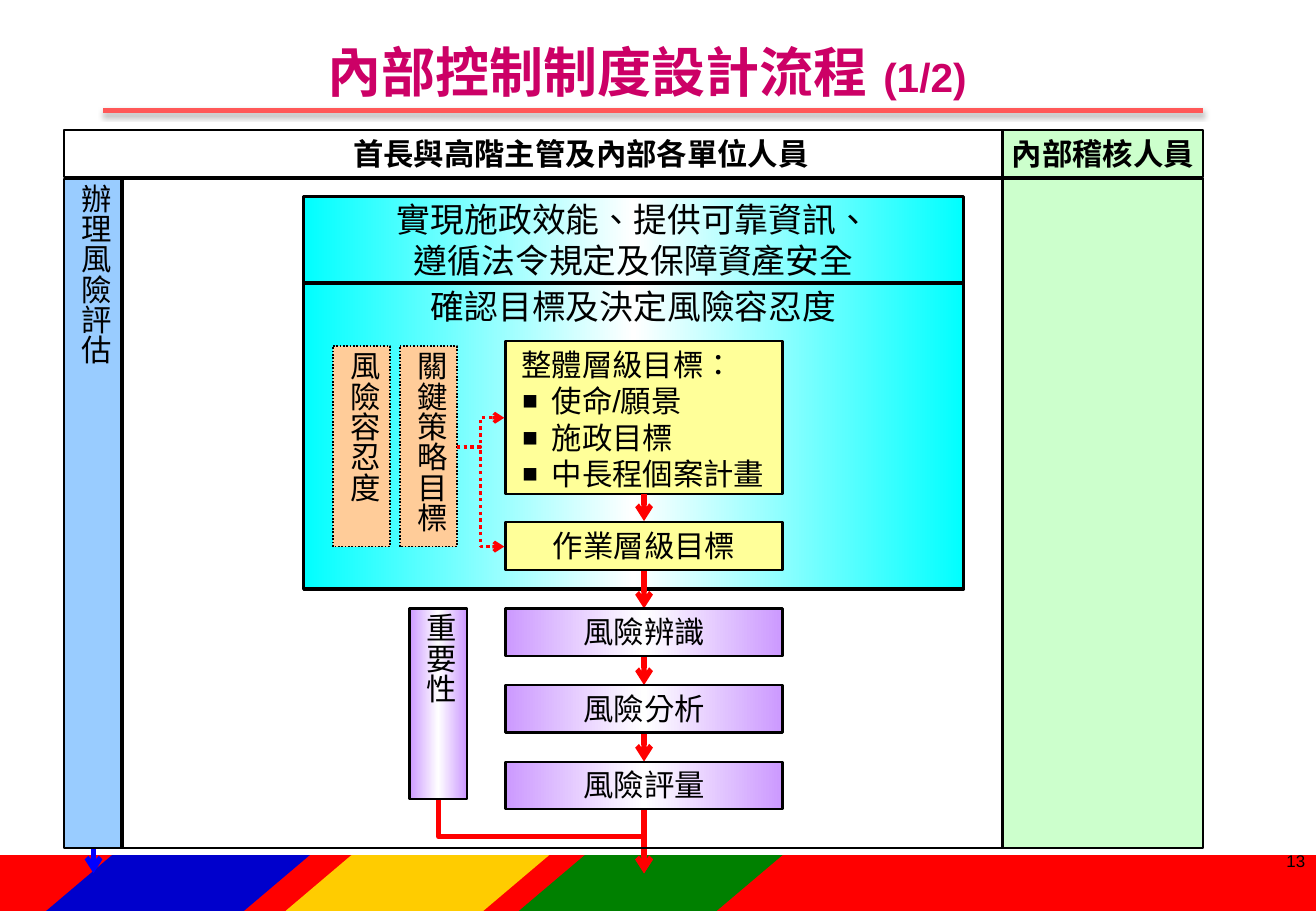
from copy import deepcopy

from lxml import etree
from pptx import Presentation
from pptx import util as u
from pptx.dml.color import RGBColor
from pptx.enum import dml, lang, shapes, text
from pptx.oxml.ns import qn

SCALE = 9144  # EMU per px, 100 px to the inch
FONT = "Arial"
COLORS = {
    "red": "FF0000", "yellow": "FFCC00", "green": "008000", "navy": "0000CC",
    "blue": "0000FF", "coral": "FF5858", "magenta": "CC0066", "black": "000000",
    "white": "FFFFFF", "cyan": "00FFFF", "violet": "CC99FF", "sky": "99CCFF",
    "mint": "CCFFCC", "peach": "FFCC99", "cream": "FFFF99",
}
BOX = shapes.MSO_SHAPE.FLOWCHART_PROCESS
LEFT, CENTER, RIGHT = text.PP_ALIGN.LEFT, text.PP_ALIGN.CENTER, text.PP_ALIGN.RIGHT
TOP, MIDDLE = text.MSO_ANCHOR.TOP, text.MSO_ANCHOR.MIDDLE


def px(value):
    return u.Emu(round(value * SCALE))


def rgb(name):
    return RGBColor.from_string(COLORS[name])


def add_span(para, words, size, color="black", bold=False):
    span = para.add_run()
    span.text = words
    font = span.font
    font.name, font.size, font.bold = FONT, u.Pt(size), bold
    font.color.rgb = rgb(color)
    font.language_id = lang.MSO_LANGUAGE_ID.TRADITIONAL_CHINESE
    etree.SubElement(span._r.get_or_add_rPr(), qn("a:ea"), typeface=FONT)


def set_frame(shape, anchor=TOP, insets=(6, 4, 6, 4), vertical=False):
    frame = shape.text_frame
    frame.word_wrap = True
    frame.auto_size = text.MSO_AUTO_SIZE.NONE
    frame.vertical_anchor = anchor
    (frame.margin_left, frame.margin_top,
     frame.margin_right, frame.margin_bottom) = map(px, insets)
    if vertical:
        frame._txBody.bodyPr.set("vert", "eaVert")
    return frame


def write(shape, lines, size=18, align=CENTER, bold=False, **frame_options):
    frame = set_frame(shape, **frame_options)
    for index, words in enumerate(lines):
        para = frame.paragraphs[0] if index == 0 else frame.add_paragraph()
        para.alignment = align
        add_span(para, words, size, bold=bold)
    return frame


def add_box(page, box, fill=None, border=1.25, kind=BOX, dash=None):
    """A fill of one name is solid; a pair fades from edge to middle to edge."""
    shape = page.shapes.add_shape(kind, *map(px, box))
    shape.shadow.inherit = False
    if fill is None:
        shape.fill.background()
    elif isinstance(fill, tuple):
        edge, middle = fill
        shape.fill.gradient()
        shape.fill.gradient_angle = 0
        stops = shape.fill.gradient_stops
        for stop, position in zip(stops, (0, 1)):
            stop.color.rgb, stop.position = rgb(edge), position
        stop_list = shape._element.spPr.find(".//" + qn("a:gsLst"))
        stop_list.insert(1, deepcopy(stop_list[0]))
        center = shape.fill.gradient_stops[1]
        center.color.rgb, center.position = rgb(middle), 0.5
    else:
        shape.fill.solid()
        shape.fill.fore_color.rgb = rgb(fill)
    if border:
        shape.line.color.rgb = rgb("black")
        shape.line.width = u.Pt(border)
        if dash:
            shape.line.dash_style = dash
    else:
        shape.line.fill.background()
    return shape


def add_line(page, start, end, color="red", width=3, bent=False, down_first=False,
             dash=None, arrow=True):
    (x1, y1), (x2, y2) = start, end
    if down_first:  # the elbow lies on its side and is turned upright
        mid_x, mid_y = (x1 + x2) / 2, (y1 + y2) / 2
        half_w, half_h = (y2 - y1) / 2, (x2 - x1) / 2
        x1, x2 = mid_x + half_w, mid_x - half_w
        y1, y2 = mid_y - half_h, mid_y + half_h
    kind = shapes.MSO_CONNECTOR.ELBOW if bent else shapes.MSO_CONNECTOR.STRAIGHT
    line = page.shapes.add_connector(kind, px(x1), px(y1), px(x2), px(y2))
    properties = line._element.spPr
    if down_first:
        properties.find(qn("a:xfrm")).set("rot", "16200000")
    line.line.color.rgb = rgb(color)
    line.line.width = u.Pt(width)
    if dash:
        line.line.dash_style = dash
    if arrow:
        etree.SubElement(properties.find(qn("a:ln")), qn("a:tailEnd"), type="arrow")
    return etree.SubElement(properties, qn("a:effectLst"))


def build_footer(page, box):
    x, y, w, h = box
    add_box(page, box, "red", border=0)
    for offset, color in ((237, "yellow"), (429, "green"), (40, "navy")):
        stripe = add_box(page, (x + offset, y, 217, h), color, border=0,
                         kind=shapes.MSO_SHAPE.PARALLELOGRAM)
        stripe.adjustments[0] = 1.18
    number = page.shapes.add_textbox(px(x + w - 252), px(y - 9), px(253), px(50))
    write(number, ["13"], size=10, align=RIGHT, insets=(10, 5, 10, 5))


def build_title(page, box):
    x, y, w, h = box
    title = page.shapes.title
    title.left, title.top, title.width, title.height = map(px, box)
    para = set_frame(title, anchor=MIDDLE, insets=(10, 5, 10, 5)).paragraphs[0]
    para.alignment = CENTER
    add_span(para, "內部控制制度設計流程 ", 32, "magenta", True)
    add_span(para, "(1/2)", 24, "magenta", True)
    # Rule with a soft shadow
    effects = add_line(page, (x + 40, y + 78), (x + 945, y + 78), "coral", arrow=False)
    shadow = etree.SubElement(effects, qn("a:outerShdw"), blurRad=str(u.Pt(3.1)),
                              dist=str(u.Pt(1.8)), dir="5400000", rotWithShape="0")
    tint = etree.SubElement(shadow, qn("a:srgbClr"), val=COLORS["black"])
    etree.SubElement(tint, qn("a:alpha"), val="35000")


def build_goals(page, box):
    x, y, w, h = box
    purpose_h = 71
    dotted = dml.MSO_LINE.ROUND_DOT
    # Purpose and goal panels
    write(add_box(page, (x, y, w, purpose_h), ("cyan", "white"), 2),
          ["實現施政效能、提供可靠資訊、", "遵循法令規定及保障資產安全"],
          size=20, anchor=MIDDLE, insets=(6, 4, 6, 5))
    write(add_box(page, (x, y + purpose_h, w, h - purpose_h), ("cyan", "white"), 2),
          ["確認目標及決定風險容忍度"], size=20, insets=(6, 2, 6, 4))
    # Dotted side labels
    for offset, words in ((79, "關鍵策略目標"), (24, "風險容忍度")):
        write(add_box(page, (x + offset, y + 123, 47, 165), "peach", 1, dash=dotted),
              [words], vertical=True)
    # Overall and operational goals
    goal_x, overall_y, work_y = x + 166, y + 119, y + 268
    frame = write(add_box(page, (goal_x, overall_y, 228, 126), "cream"),
                  ["整體層級目標：", "使命/願景", "施政目標", "中長程個案計畫"], align=LEFT)
    for index, para in enumerate(frame.paragraphs):
        layout = para._p.get_or_add_pPr()
        layout.set("marL", str(px(32 if index else 7)))
        layout.set("indent", str(px(-24 if index else 0)))
        if index:
            etree.SubElement(layout, qn("a:buSzPct"), val="85000")
            etree.SubElement(layout, qn("a:buFont"), typeface=FONT)
            etree.SubElement(layout, qn("a:buChar"), char="■")
    write(add_box(page, (goal_x, work_y, 228, 39), "cream"), ["作業層級目標"])
    # Links
    for target_y in (y + 182, y + 288):
        add_line(page, (x + 126, y + 206), (goal_x - 1, target_y), width=2,
                 bent=True, dash=dotted)
    axis = goal_x + 114
    add_line(page, (axis, overall_y + 126), (axis, work_y - 1))
    add_line(page, (axis, work_y + 40), (axis, y + h + 16))


def build_steps(page, box):
    x, y, w, h = box
    step_w, step_h, pitch = 228, 39, 63
    step_x = x + w - step_w
    axis = step_x + step_w / 2
    steps = ["風險辨識", "風險分析", "風險評量"]
    for index, words in enumerate(steps):
        top = y + index * pitch
        write(add_box(page, (step_x, top, step_w, step_h), ("violet", "white")), [words])
        next_top = top + pitch if index < len(steps) - 1 else y + h
        add_line(page, (axis, top + step_h + 1), (axis, next_top))
    write(add_box(page, (x, y, 47, 157), ("violet", "white")), ["重要性"], vertical=True)
    add_line(page, (x + 24, y + 158), (axis, y + h), bent=True, down_first=True)


def build_columns(page, box):
    x, y, w, h = box
    head_h, side_w, audit_w = 39, 47, 165
    body_y, body_h = y + head_h + 1, h - head_h - 1
    audit_x = x + w - audit_w
    # Bodies
    write(add_box(page, (x, body_y, side_w, body_h), "sky"), ["辦理風險評估"], vertical=True)
    add_box(page, (x + side_w + 1, body_y, w - side_w - audit_w - 1, body_h), border=1.5)
    add_box(page, (audit_x, body_y, audit_w, body_h), "mint", 1.5)
    add_line(page, (x + 24, y + h + 1), (x + 24, y + h + 21), "blue")
    # Headings
    write(add_box(page, (audit_x, y, audit_w, head_h), "mint"), ["內部稽核人員"],
          bold=True, insets=(6, 4, 6, 4))
    write(add_box(page, (x, y, w - audit_w, head_h)), ["首長與高階主管及內部各單位人員"],
          bold=True, insets=(84, 4, 6, 4))


def main():
    deck = Presentation()
    deck.slide_width, deck.slide_height = px(1083), px(750)
    page = deck.slides.add_slide(deck.slide_layouts[5])
    build_footer(page, (-2, 704, 1085, 46))
    build_title(page, (45, 13, 975, 91))
    build_goals(page, (250, 162, 543, 323))
    build_steps(page, (337, 501, 307, 218))
    build_columns(page, (53, 107, 937, 591))
    deck.save("out.pptx")


if __name__ == "__main__":
    main()
